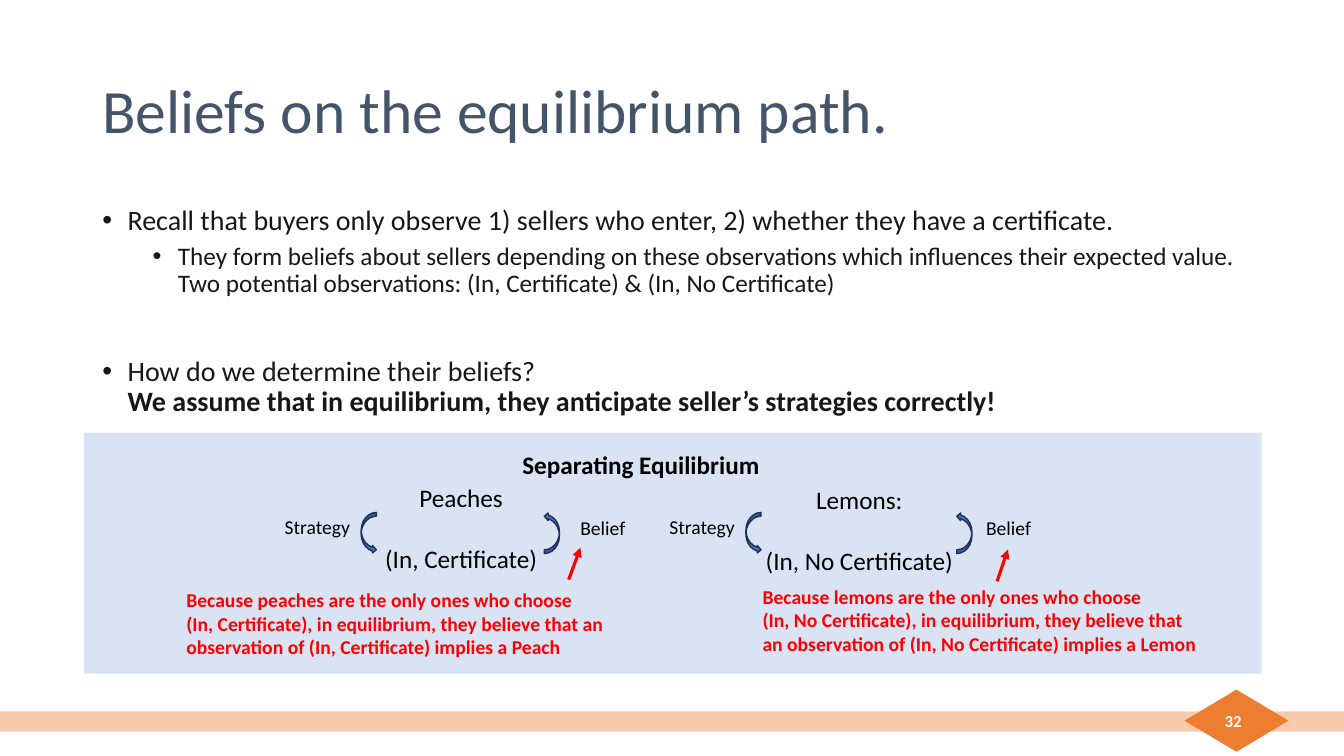
from dataclasses import dataclass

from lxml import etree
from pptx import Presentation
from pptx.dml.color import RGBColor
from pptx.enum.shapes import MSO_CONNECTOR, MSO_SHAPE
from pptx.enum.text import MSO_ANCHOR, MSO_AUTO_SIZE, PP_ALIGN
from pptx.oxml.ns import qn
from pptx.util import Inches, Pt

RECTANGLE, DIAMOND = MSO_SHAPE.RECTANGLE, MSO_SHAPE.DIAMOND
CURVED_ARROW = MSO_SHAPE.CURVED_RIGHT_ARROW
STRAIGHT = MSO_CONNECTOR.STRAIGHT
TOP, MIDDLE = MSO_ANCHOR.TOP, MSO_ANCHOR.MIDDLE
LEFT, CENTER, RIGHT = PP_ALIGN.LEFT, PP_ALIGN.CENTER, PP_ALIGN.RIGHT
FIT_SHAPE = MSO_AUTO_SIZE.SHAPE_TO_FIT_TEXT

SLIDE_WIDTH, SLIDE_HEIGHT = Inches(13.33), Inches(7.5)
COLUMNS, ROWS = 160, 90


@dataclass(frozen=True)
class Theme:
    font: str = "Calibri"
    title: str = "44546A"
    body: str = "181717"
    label: str = "000000"
    reason: str = "FF0000"
    number: str = "FFFFFF"
    band: str = "F8CBAD"
    badge: str = "ED7D31"
    panel: str = "DAE3F3"
    loop: str = "4472C4"
    loop_edge: str = "1E3256"
    title_size: int = 44
    point_size: int = 20
    text_size: int = 18
    small_size: int = 14
    number_size: int = 12


THEME = Theme()


@dataclass(frozen=True)
class Case:
    heading: str
    observation: str
    reason: str
    exchange_at: tuple
    loop_columns: tuple
    belief_column: float
    reason_at: tuple
    pointer: tuple


CASES = [
    Case("Peaches", "(In, Certificate)",
         "Because peaches are the only ones who choose\v(In, Certificate), in equilibrium, "
         "they believe that an observation of (In, Certificate) implies a Peach",
         (44.5, 56.8, 20.8, 12.1), (43, 64.8), 67.9,
         (21, 69.4, 52.4, 9.7), (67.7, 69, 69.1, 65.2)),
    Case("Lemons:", "(In, No Certificate)",
         "Because lemons are the only ones who choose\v(In, No Certificate), in equilibrium, "
         "they believe that an observation of (In, No Certificate) implies a Lemon",
         (89.8, 57.1, 25, 12.1), (88.8, 113.9), 116.2,
         (89.6, 69, 54.6, 9.7), (118.7, 69.2, 120, 65.4)),
]


def place(x, y, *rest):
    across, down = SLIDE_WIDTH / COLUMNS, SLIDE_HEIGHT / ROWS
    return [round(value * unit)
            for value, unit in zip((x, y, *rest), (across, down) * 2)]


def style_run(run, size, color, bold=False):
    run.font.name = THEME.font
    run.font.size = Pt(size)
    run.font.bold = bold
    run.font.color.rgb = RGBColor.from_string(color)


def add_block(slide, kind, at, fill, edge=None, rotation=0):
    block = slide.shapes.add_shape(kind, *place(*at))
    block.shadow.inherit = False
    block.rotation = rotation
    block.fill.solid()
    block.fill.fore_color.rgb = RGBColor.from_string(fill)
    if edge:
        block.line.color.rgb = RGBColor.from_string(edge)
        block.line.width = Pt(1)
    else:
        block.line.fill.background()


def add_text(slide, at, text, size, color, bold=False, align=LEFT,
             anchor=TOP, wrap=False, grow=True):
    frame = slide.shapes.add_textbox(*place(*at)).text_frame
    frame.word_wrap = wrap
    if grow:
        frame.auto_size = FIT_SHAPE
    frame.vertical_anchor = anchor
    frame.text = text
    for paragraph in frame.paragraphs:
        paragraph.alignment = align
        for run in paragraph.runs:
            style_run(run, size, color, bold)
    return frame


def add_bullet(paragraph, indent):
    properties = paragraph._p.get_or_add_pPr()
    properties.set("marL", str(Inches(indent)))
    properties.set("indent", str(Inches(-0.25)))
    etree.SubElement(properties, qn("a:buFont")).set("typeface", "Arial")
    etree.SubElement(properties, qn("a:buChar")).set("char", "•")


def add_points(slide):
    points = [
        ("Recall that buyers only observe 1) sellers who enter, "
         "2) whether they have a certificate.", 0, 0),
        ("They form beliefs about sellers depending on these observations which influences "
         "their expected value.\vTwo potential observations: (In, Certificate) & "
         "(In, No Certificate)", 1, 5),
        ("How do we determine their beliefs?\vWe assume that in equilibrium, "
         "they anticipate seller’s strategies correctly!", 0, 42),
    ]
    frame = add_text(slide, (11, 24, 138, 28.7), "\n".join(text for text, _, _ in points),
                     THEME.point_size, THEME.body, wrap=True, grow=False)
    for paragraph, (_, level, space) in zip(frame.paragraphs, points):
        add_bullet(paragraph, 0.25 + 0.5 * level)
        paragraph.level = level
        paragraph.line_spacing = 0.9
        paragraph.space_before = Pt(space)
        for run in paragraph.runs:
            run.font.size = Pt(THEME.text_size if level else THEME.point_size)
    frame.paragraphs[-1].runs[-1].font.bold = True


def add_pointer(slide, ends):
    pointer = slide.shapes.add_connector(STRAIGHT, *place(*ends))
    pointer.line.color.rgb = RGBColor.from_string(THEME.reason)
    pointer.line.width = Pt(2.25)
    etree.SubElement(pointer.line._get_or_add_ln(), qn("a:tailEnd")).set("type", "triangle")
    etree.SubElement(pointer._element.spPr, qn("a:effectLst"))


def add_case(slide, case):
    exchange = add_text(slide, case.exchange_at, f"{case.heading}\n{case.observation}",
                        THEME.text_size, THEME.label, align=CENTER)
    exchange.paragraphs[1].space_before = Pt(22)
    for column, rotation in zip(case.loop_columns, (0, 180)):
        add_block(slide, CURVED_ARROW, (column, 61, 1.8, 4.9),
                  THEME.loop, THEME.loop_edge, rotation)
    add_text(slide, (case.loop_columns[0] - 10.3, 60.7, 10.3, 4.1), "Strategy",
             THEME.small_size, THEME.label)
    add_text(slide, (case.belief_column, 60.8, 7.8, 4.1), "Belief",
             THEME.small_size, THEME.label)
    add_text(slide, case.reason_at, case.reason, THEME.small_size, THEME.reason,
             bold=True, wrap=True)
    add_pointer(slide, case.pointer)


def main():
    deck = Presentation()
    deck.slide_width, deck.slide_height = SLIDE_WIDTH, SLIDE_HEIGHT
    slide = deck.slides.add_slide(deck.slide_layouts[6])
    add_block(slide, RECTANGLE, (0, 84.7, COLUMNS, 2.4), THEME.band)
    add_block(slide, DIAMOND, (141, 82.1, 12.4, 7.4), THEME.badge)
    add_block(slide, RECTANGLE, (10, 51.5, 140.2, 28.7), THEME.panel)
    title = add_text(slide, (11, 4.8, 138, 17.4), "Beliefs on the equilibrium path.",
                     THEME.title_size, THEME.title, anchor=MIDDLE, wrap=True, grow=False)
    title.paragraphs[0].line_spacing = 0.9
    add_points(slide)
    add_text(slide, (113, 83.4, 36, 4.8), "32", THEME.number_size, THEME.number,
             bold=True, align=RIGHT, anchor=MIDDLE, wrap=True, grow=False)
    add_text(slide, (61, 52.9, 30.8, 4.8), "Separating Equilibrium",
             THEME.text_size, THEME.label, bold=True)
    for case in CASES:
        add_case(slide, case)
    deck.save("out.pptx")


if __name__ == "__main__":
    main()
